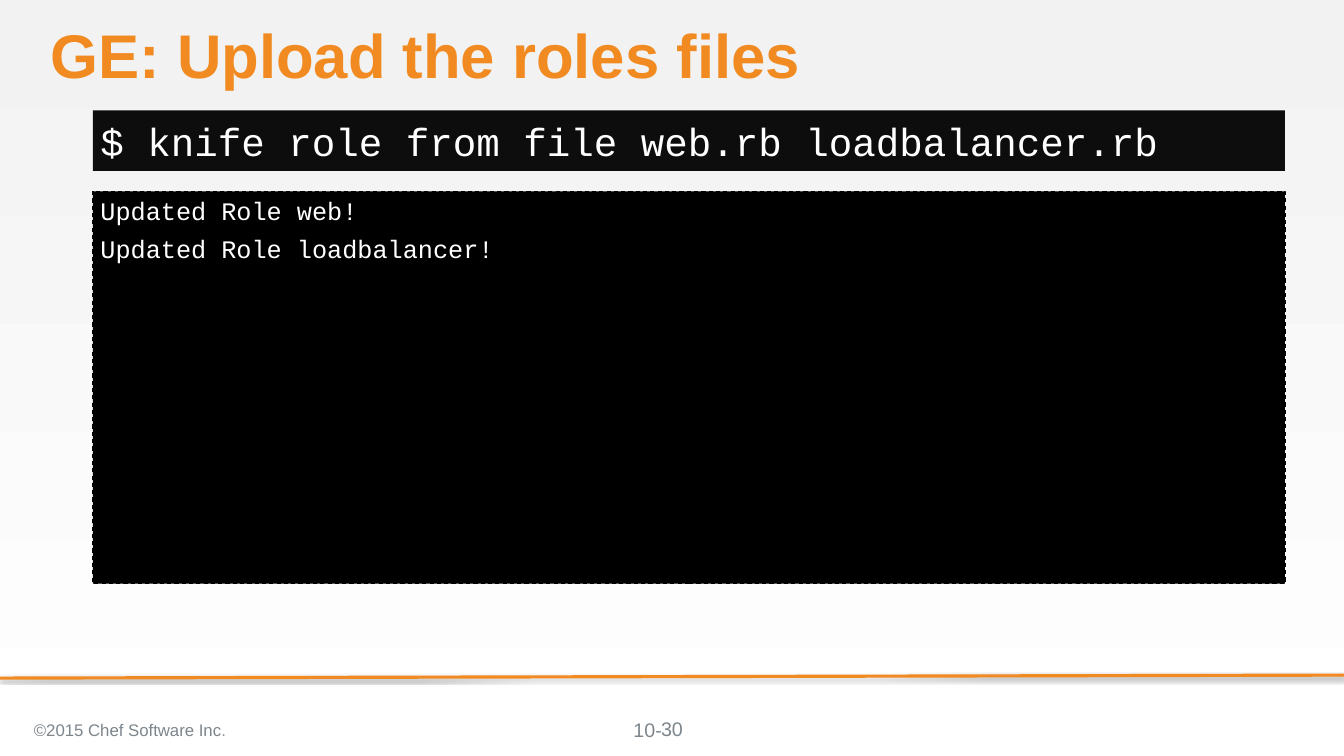
from lxml import etree
from pptx import Presentation
from pptx.dml.color import RGBColor
from pptx.enum.dml import MSO_LINE
from pptx.enum.shapes import MSO_CONNECTOR, MSO_SHAPE
from pptx.enum.text import MSO_ANCHOR, PP_ALIGN
from pptx.oxml import parse_xml
from pptx.oxml.ns import nsdecls
from pptx.util import Inches, Pt

ORANGE, GREY, WHITE = "F18B21", "7D868C", "FFFFFF"


def rgb(value):
    return RGBColor.from_string(value)


def write(sp, lines, size, font, color, bold=False, align=PP_ALIGN.LEFT,
          anchor=MSO_ANCHOR.TOP, insets=(0.1, 0.05, 0.1, 0.05)):
    """Fill a shape with one paragraph per line; each line is a list of runs."""
    tf = sp.text_frame
    tf.word_wrap = True
    tf.vertical_anchor = anchor
    tf.margin_left, tf.margin_top, tf.margin_right, tf.margin_bottom = map(Inches, insets)
    for i, runs in enumerate(lines):
        p = tf.paragraphs[0] if i == 0 else tf.add_paragraph()
        p.alignment = align
        if i:
            p.space_before = Pt(8)
        for text in runs:
            r = p.add_run()
            r.text = text
            r.font.size = Pt(size)
            r.font.name = font
            r.font.bold = bold
            r.font.color.rgb = rgb(color)
    return tf


prs = Presentation()
prs.slide_width, prs.slide_height = Inches(17.78), Inches(10)
s = prs.slides.add_slide(prs.slide_layouts[6])

# Background: light grey at the top fading to white
fill = s.background.fill
fill.gradient()
fill.gradient_angle = 270
for stop, color, position in zip(fill.gradient_stops, ("F2F2F2", WHITE), (0, 1)):
    stop.color.rgb = rgb(color)
    stop.position = position

# Footer rule with a soft shadow
rule = s.shapes.add_connector(MSO_CONNECTOR.STRAIGHT, Inches(17.78), Inches(8.93),
                              Inches(0), Inches(8.97))
rule.line.color.rgb = rgb(ORANGE)
rule.line.width = Pt(3)
effects = parse_xml(f"<a:effectLst {nsdecls('a')}/>")
shadow = etree.SubElement(effects, effects.tag.replace("effectLst", "outerShdw"),
                          blurRad=str(Pt(3.1)), dist=str(Pt(1.8)), dir="5400000",
                          rotWithShape="0")
shadow.append(parse_xml(f'<a:srgbClr {nsdecls("a")} val="000000"><a:alpha val="35000"/></a:srgbClr>'))
rule._element.spPr.append(effects)

# Title
title = s.shapes.add_textbox(Inches(0.67), Inches(0.33), Inches(16.33), Inches(0.91))
tf = write(title, [["GE: Upload the roles files"]], 58.7, "Arial", ORANGE, bold=True,
           insets=(0, 0, 0, 0))
tf.paragraphs[0].line_spacing = 0.9

# Terminal: command bar above its output
panels = []
for top, height, color in ((1.46, 0.8, "0D0D0D"), (2.53, 5.19, "000000")):
    sp = s.shapes.add_shape(MSO_SHAPE.RECTANGLE, Inches(1.23), Inches(top),
                            Inches(15.77), Inches(height))
    sp.shadow.inherit = False
    sp.fill.solid()
    sp.fill.fore_color.rgb = rgb(color)
    panels.append(sp)
command, output = panels
command.line.fill.background()
output.line.color.rgb = rgb("000000")
output.line.width = Pt(1)
output.line.dash_style = MSO_LINE.DASH
write(command, [["$ knife role from file web.rb loadbalancer.rb"]], 37.3, "Courier New",
      WHITE, anchor=MSO_ANCHOR.MIDDLE, insets=(0.1, 0, 0, 0))
write(output, [["Updated Role web!"], ["Updated Role loadbalancer!"]], 24, "Courier New", WHITE)

# Footer: copyright, then chapter and page number
notice = s.shapes.add_textbox(Inches(0.35), Inches(9.38), Inches(6.21), Inches(0.56))
tf = write(notice, [["©2015 Chef Software Inc", "."]], 16, "Arial", GREY,
           anchor=MSO_ANCHOR.MIDDLE)
tf.paragraphs[0].runs[1].font.color.rgb = rgb("929494")
chapter = s.shapes.add_textbox(Inches(8.34), Inches(9.49), Inches(0.8), Inches(0.31))
write(chapter, [["10-"]], 18.7, "Arial", GREY, insets=(0.04, 0, 0, 0))
page = s.shapes.add_textbox(Inches(6.89), Inches(9.38), Inches(4), Inches(0.53))
write(page, [["30"]], 18.7, "Arial", GREY, align=PP_ALIGN.CENTER, anchor=MSO_ANCHOR.MIDDLE)

prs.save("out.pptx")
